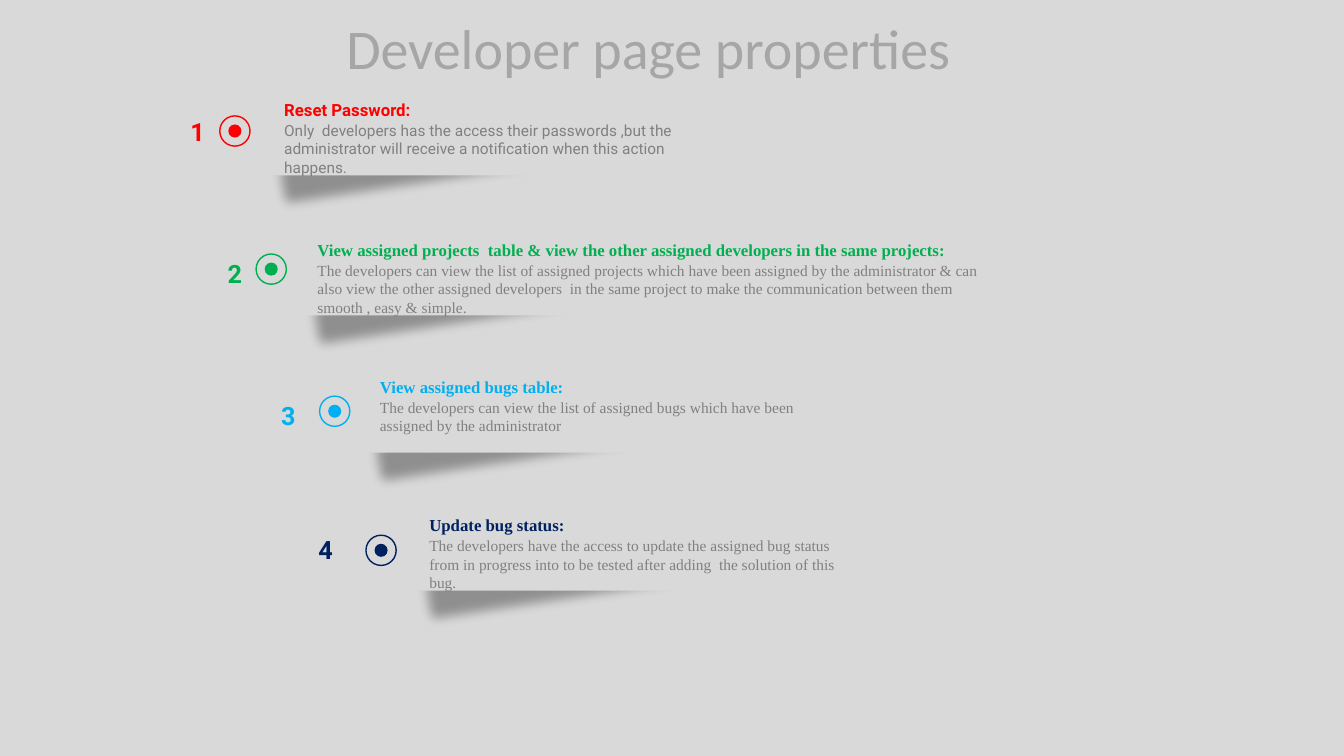
from dataclasses import dataclass

from lxml.etree import SubElement
from pptx import Presentation
from pptx.dml.color import RGBColor
from pptx.enum.shapes import MSO_SHAPE as SHAPE
from pptx.enum.text import MSO_ANCHOR as ANCHOR, MSO_AUTO_SIZE as AUTO, PP_ALIGN as ALIGN
from pptx.oxml.ns import qn
from pptx.util import Inches, Pt

TITLE = "Developer page properties"

# Places are in grid cells: card is (left, top, width), ring is (left, top)
ITEMS = [
    dict(heading="Reset Password:",
         body="Only  developers has the access their passwords ,but the administrator "
              "will receive a notification when this action happens.",
         color="FF0000", font="Roboto", card=(25.5, 8.7, 47.1), body_width=43.3,
         ring=(21.8, 11.5), number=(10.3, 11.1)),
    dict(heading="View assigned projects  table & view the other assigned developers "
                 "in the same projects:",
         body="The developers can view the list of assigned projects which have been "
              "assigned by the administrator & can also view the other assigned developers  "
              "in the same project to make the communication between them smooth , "
              "easy & simple.",
         color="00B050", font="Times New Roman", card=(28.8, 22.6, 72), body_width=67.6,
         ring=(25.4, 25.2), number=(14, 25.1)),
    dict(heading="View assigned bugs table:",
         body="The developers can view the list of assigned bugs which have been "
              "assigned by the administrator",
         color="00B0F0", font="Times New Roman", card=(35, 36.2, 47.1), body_width=43.3,
         ring=(31.7, 39.3), number=(19.3, 39.2)),
    dict(heading="Update bug status:",
         body="The developers have the access to update the assigned bug status from "
              "in progress into to be tested after adding  the solution of this bug.",
         color="002060", font="Times New Roman", card=(39.9, 49.9, 47.1), body_width=43.3,
         ring=(36.3, 53.1), number=(23, 52.5)),
]


@dataclass(frozen=True)
class Theme:
    back: str = "D9D9D9"
    title: str = "A6A6A6"
    body: str = "808080"
    shade: str = "000000"
    shade_alpha: int = 34
    title_font: str = "Calibri"
    number_font: str = "Roboto"
    title_size: int = 40
    number_size: int = 18
    heading_size: int = 12
    body_size: int = 11


THEME = Theme()
CELL = Inches(0.1)
CARD_H, RING, DOT = 8.7, 3, 1.3
TEXT_INSET, HEADING_DROP, BODY_DROP = 1.7, 0.7, 2.8


def cells(*values):
    return [round(v * CELL) for v in values]


def add_shape(slide, kind, box, fill=None, line=None):
    sp = slide.shapes.add_shape(kind, *cells(*box))
    sp.shadow.inherit = False
    if fill:
        sp.fill.solid()
        sp.fill.fore_color.rgb = RGBColor.from_string(fill)
    else:
        sp.fill.background()
    if line:
        sp.line.color.rgb = RGBColor.from_string(line)
        sp.line.width = Pt(1)
    else:
        sp.line.fill.background()
    return sp


def write(sp, text, font, size, color, bold=False, align=ALIGN.LEFT):
    tf = sp.text_frame
    tf.word_wrap = True
    tf.auto_size = AUTO.SHAPE_TO_FIT_TEXT
    tf.vertical_anchor = ANCHOR.TOP
    p = tf.paragraphs[0]
    p.alignment = align
    r = p.add_run()
    r.text = text
    r.font.name, r.font.size, r.font.bold = font, Pt(size), bold
    r.font.color.rgb = RGBColor.from_string(color)


def add_text(slide, box, *args, **kwargs):
    write(slide.shapes.add_textbox(*cells(*box)), *args, **kwargs)


def add_curl_shadow(slide, left, top):
    """Tilted soft rectangle whose lower corner shows below the card."""
    sp = add_shape(slide, SHAPE.RECTANGLE, (left + 0.4, top + 3.9, 28.9, 7.8), THEME.shade)
    sp.rotation = 351.4
    props = sp._element.spPr
    color = props.find(qn("a:solidFill"))[0]
    SubElement(color, qn("a:alpha"), val=str(THEME.shade_alpha * 1000))
    SubElement(props.find(qn("a:effectLst")), qn("a:softEdge"), rad=str(Pt(10)))


def add_item(slide, number, item):
    left, top, width = item["card"]
    color, font = item["color"], item["font"]
    add_curl_shadow(slide, left, top)
    card = add_shape(slide, SHAPE.ROUNDED_RECTANGLE, (left, top, width, CARD_H), THEME.back)
    card.adjustments[0] = 0.24

    text_left = left + TEXT_INSET
    add_text(slide, (text_left, top + HEADING_DROP, width - TEXT_INSET, 3),
             item["heading"], font, THEME.heading_size, color, bold=True)
    add_text(slide, (text_left, top + BODY_DROP, item["body_width"], 6.6),
             item["body"], font, THEME.body_size, THEME.body)

    x, y = item["ring"]
    inset = (RING - DOT) / 2
    add_shape(slide, SHAPE.OVAL, (x, y, RING, RING), line=color)
    add_shape(slide, SHAPE.OVAL, (x + inset, y + inset, DOT, DOT), fill=color)
    add_text(slide, (*item["number"], 11, 4), str(number), THEME.number_font,
             THEME.number_size, color, bold=True, align=ALIGN.RIGHT)


def main():
    prs = Presentation()
    prs.slide_width, prs.slide_height = Inches(13.33), Inches(7.5)
    slide = prs.slides.add_slide(prs.slide_layouts[5])
    slide.background.fill.solid()
    slide.background.fill.fore_color.rgb = RGBColor.from_string(THEME.back)

    title = slide.shapes.title
    title.left, title.top, title.width, title.height = cells(24.5, 0.8, 79.6, 7.7)
    write(title, TITLE, THEME.title_font, THEME.title_size, THEME.title, align=ALIGN.CENTER)

    for number, item in enumerate(ITEMS, 1):
        add_item(slide, number, item)
    prs.save("out.pptx")


if __name__ == "__main__":
    main()
